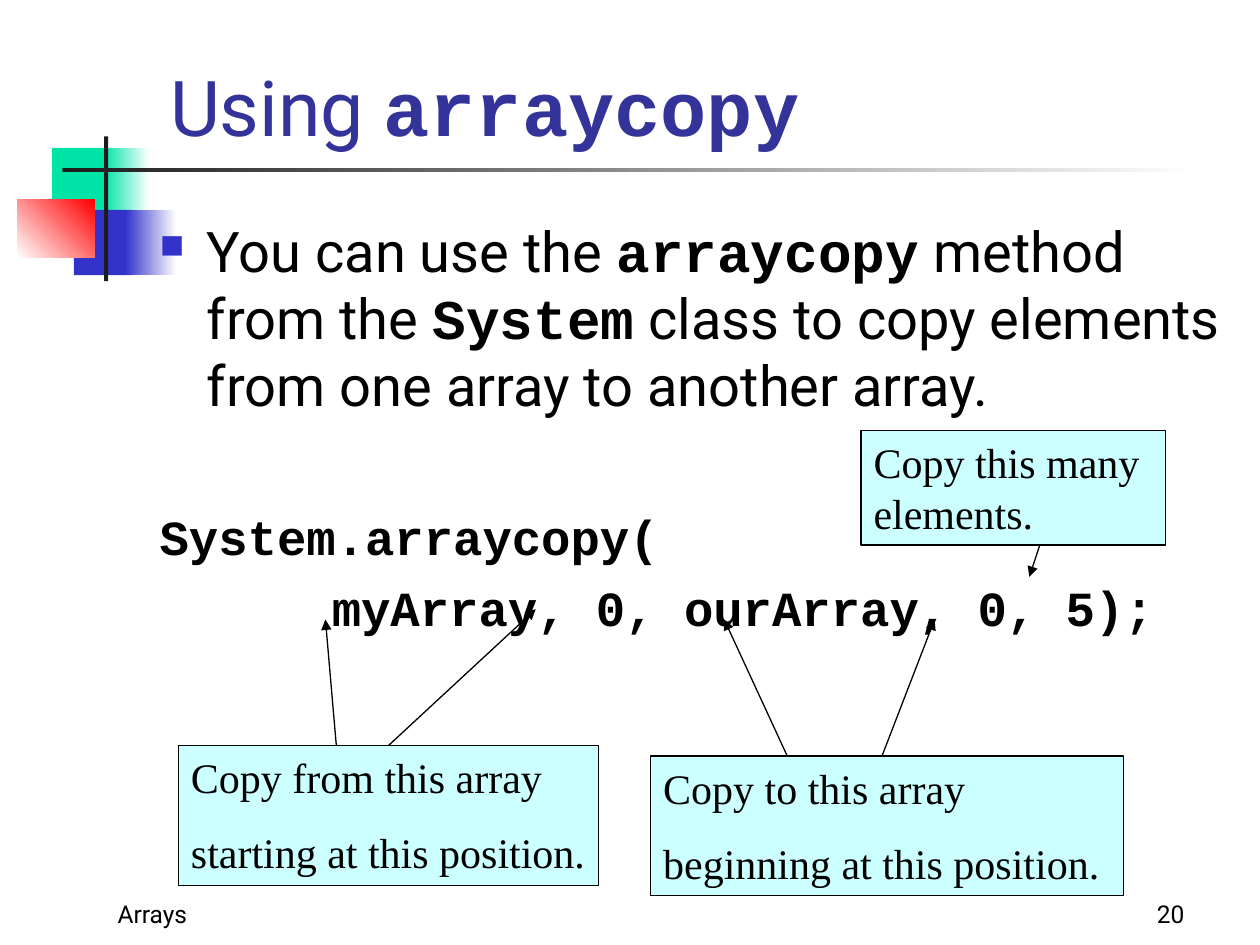
from lxml import etree
from pptx import Presentation
from pptx.dml.color import RGBColor
from pptx.enum.shapes import MSO_CONNECTOR, MSO_SHAPE
from pptx.enum.text import MSO_ANCHOR, PP_ALIGN
from pptx.oxml.ns import qn
from pptx.util import Cm, Pt

COLORS = {
    "green": "00E4A8", "blue": "3333CC", "red": "FF0000", "dark": "1C1C1C",
    "white": "FFFFFF", "black": "000000", "title": "333399", "callout": "CCFFFF",
}
SANS, MONO, SERIF = "Roboto", "Courier New", "Times New Roman"


def color(name):
    """Return the named colour."""
    return RGBColor.from_string(COLORS[name])


def add_rect(slide, box, fill, fade_to=None, angle=0):
    """Add a borderless rectangle, solid or fading between two colours."""
    rect = slide.shapes.add_shape(MSO_SHAPE.RECTANGLE, *map(Cm, box))
    rect.shadow.inherit = False
    rect.line.fill.background()
    if fade_to:
        rect.fill.gradient()
        rect.fill.gradient_angle = angle
        for stop, name in zip(rect.fill.gradient_stops, (fill, fade_to)):
            stop.color.rgb = color(name)
    else:
        rect.fill.solid()
        rect.fill.fore_color.rgb = color(fill)
    return rect


def write(shape, paragraphs, size, ink="black", align=PP_ALIGN.LEFT,
          anchor=MSO_ANCHOR.TOP, gap=0):
    """Fill a shape with paragraphs, each a list of (text, font) runs."""
    frame = shape.text_frame
    frame.word_wrap = True
    frame.vertical_anchor = anchor
    for index, runs in enumerate(paragraphs):
        paragraph = frame.add_paragraph() if index else frame.paragraphs[0]
        paragraph.alignment = align
        if index:
            paragraph.space_before = Pt(gap)
        for text, font in runs:
            run = paragraph.add_run()
            run.text = text
            run.font.name = font
            run.font.size = Pt(size)
            run.font.bold = font == MONO
            run.font.color.rgb = color(ink)
    return frame


def add_text(slide, box, paragraphs, size, **style):
    """Add a text box and fill it."""
    return write(slide.shapes.add_textbox(*map(Cm, box)), paragraphs, size, **style)


def add_ornament(slide, left, top):
    """Draw the overlapping colour blocks and the crossing rules."""
    parts = [
        ((0.7, 0.23, 1.22, 1.32), "green"),
        ((1.75, 0.23, 0.91, 1.32), "green", "white"),
        ((1.14, 1.48, 1.17, 1.32), "blue"),
        ((2.18, 1.48, 1.02, 1.32), "blue", "white"),
        ((0, 1.27, 1.55, 1.17), "white", "red", 45),
        ((1.75, 0, 0.08, 2.92), "dark"),
        ((0.91, 0.64, 22.86, 0.08), "dark", "white"),
    ]
    for (x, y, width, height), *paint in parts:
        add_rect(slide, (left + x, top + y, width, height), *paint)


def add_bullet(slide, box, runs):
    """Add the statement with a square bullet and hanging indent."""
    frame = add_text(slide, box, [runs], 32)
    props = frame.paragraphs[0]._p.get_or_add_pPr()
    props.set("marL", str(Cm(0.95)))
    props.set("indent", str(Cm(-0.95)))
    bullet_color = etree.SubElement(props, qn("a:buClr"))
    etree.SubElement(bullet_color, qn("a:srgbClr"), val=COLORS["blue"])
    etree.SubElement(props, qn("a:buSzPct"), val="60000")
    etree.SubElement(props, qn("a:buChar"), char="\u25a0")


def add_code(slide, box, lines, indent):
    """Add a call whose continuation line is indented."""
    frame = add_text(slide, box, [[(line, MONO)] for line in lines], 28, gap=7)
    frame.paragraphs[1]._p.get_or_add_pPr().set("marL", str(Cm(indent)))


def add_arrow(slide, start, end):
    """Draw a thin line with an arrowhead at its end."""
    arrow = slide.shapes.add_connector(MSO_CONNECTOR.STRAIGHT, *map(Cm, start + end))
    arrow.line.color.rgb = color("black")
    arrow.line.width = Pt(0.75)
    etree.SubElement(arrow.line._get_or_add_ln(), qn("a:tailEnd"), type="triangle")
    etree.SubElement(arrow._element.spPr, qn("a:effectLst"))


def add_callout(slide, box, lines, arrows):
    """Add a note; arrows are (start, end) offsets from its top left."""
    left, top = box[:2]
    note = add_rect(slide, box, "callout")
    note.line.color.rgb = color("black")
    note.line.width = Pt(0.75)
    write(note, [[(line, SERIF)] for line in lines], 24, gap=14)
    for (x1, y1), (x2, y2) in arrows:
        add_arrow(slide, (left + x1, top + y1), (left + x2, top + y2))


def add_footer(slide, top, label, number):
    """Add the footer label and the slide number."""
    for left, width, text, align in ((2.12, 8.04, label, PP_ALIGN.LEFT),
                                     (18.84, 5.29, number, PP_ALIGN.RIGHT)):
        add_text(slide, (left, top, width, 1.27), [[(text, SANS)]], 14,
                 align=align, anchor=MSO_ANCHOR.BOTTOM)


def build():
    """Build the slide and save it."""
    deck = Presentation()
    deck.slide_width, deck.slide_height = Cm(25.4), Cm(19.05)
    slide = deck.slides.add_slide(deck.slide_layouts[6])

    add_ornament(slide, 0.35, 2.75)
    add_footer(slide, 17.57, "Arrays", "20")
    add_text(slide, (3.18, 0, 21.64, 3.18), [[("Using ", SANS), ("arraycopy", MONO)]],
             44, ink="title", anchor=MSO_ANCHOR.BOTTOM)
    add_bullet(slide, (2.97, 4.24, 21.92, 4.4), [
        ("You can use the ", SANS), ("arraycopy", MONO),
        (" method from the ", SANS), ("System", MONO),
        (" class to copy elements from one array to another array.", SANS)])
    add_code(slide, (2.97, 10.08, 21.92, 2.8),
             ["System.arraycopy(", "myArray, 0, ourArray, 0, 5);"], 3.47)

    add_callout(slide, (3.6, 15.03, 8.47, 2.82),
                ["Copy from this array", "starting at this position."],
                [((3.18, 0), (2.96, -2.54)), ((4.23, 0), (7.2, -2.75))])
    add_callout(slide, (13.12, 15.24, 9.53, 2.82),
                ["Copy to this array", "beginning at this position."],
                [((2.75, 0), (1.48, -2.75)), ((4.66, 0), (5.72, -2.75))])
    add_callout(slide, (17.36, 8.68, 6.14, 2.31), ["Copy this many elements."],
                [((3.6, 2.31), (3.39, 2.95))])
    deck.save("out.pptx")


build()
